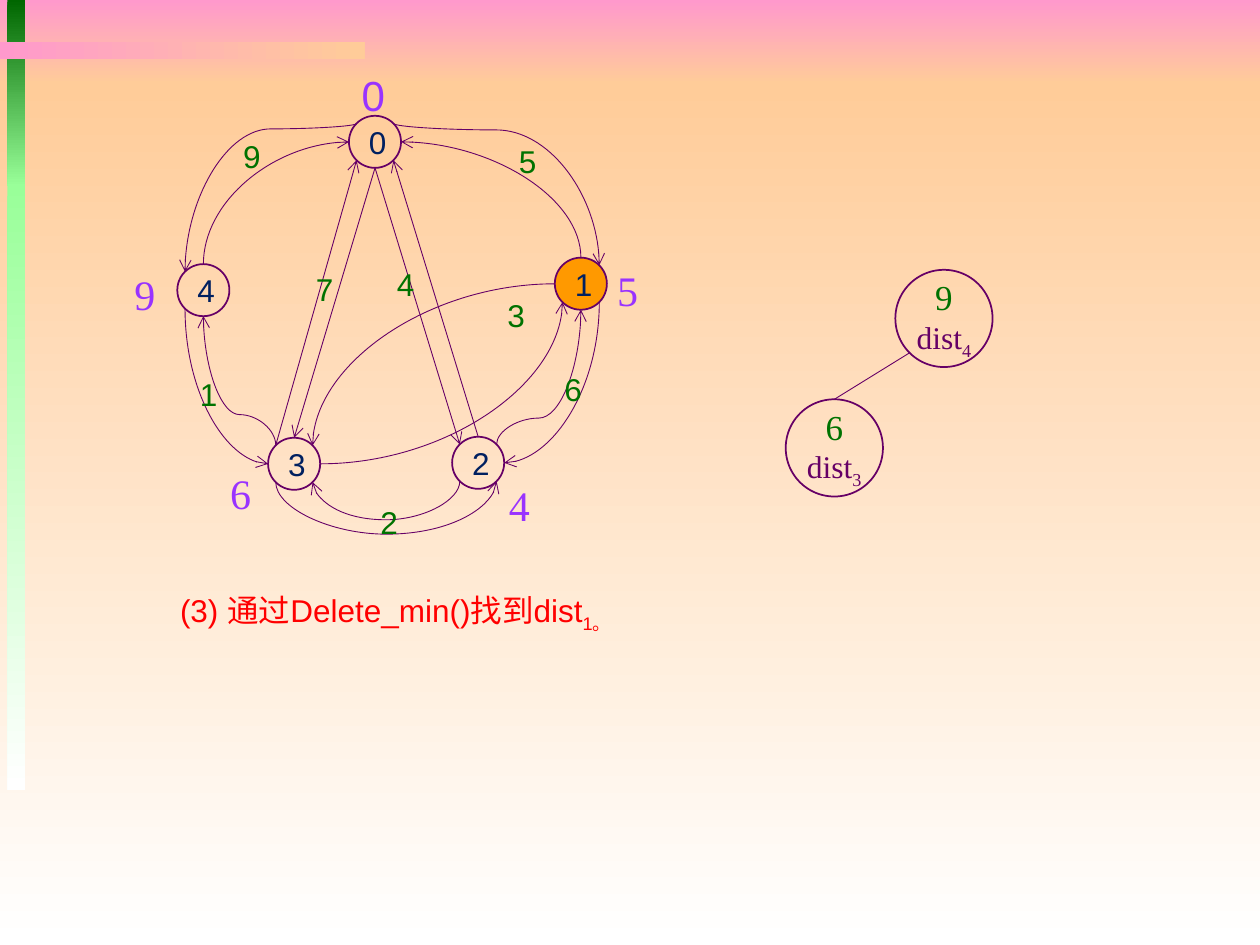
from math import sqrt

from lxml.etree import SubElement
from pptx import Presentation
from pptx.dml.color import RGBColor
from pptx.enum.shapes import MSO_CONNECTOR as CONN, MSO_SHAPE as SHAPE
from pptx.enum.text import MSO_ANCHOR as ANCHOR, MSO_AUTO_SIZE as AUTO, PP_ALIGN as ALIGN
from pptx.oxml.ns import qn
from pptx.util import Cm, Pt

COLORS = {"pink": "FF99CC", "peach": "FFCC99", "white": "FFFFFF", "forest": "006600",
          "mint": "99FF99", "line": "660066", "vertex": "002060", "weight": "007200",
          "current": "FF9900", "caption": "FF0000", "distance": "9933FF"}
ARIAL, TIMES = "Arial", "Times New Roman"
NODE_D, HEAP_D = 1.05, 1.96

# left, top, width, height, first colour, last colour, angle
BANDS = [(0, 0, 25.4, 1.7, "pink", "peach", 270),
         (0, 1.7, 25.4, 17.35, "peach", "white", 270),
         (0.15, 0, 0.36, 3.76, "forest", "mint", 270),
         (0.15, 3.71, 0.36, 12.22, "mint", "white", 270),
         (0, 0.84, 7.35, 0.36, "pink", "peach", 0)]

# vertex centres
VERTICES = {"0": (7.56, 2.86), "4": (4.1, 5.85), "3": (5.93, 9.35),
            "2": (9.64, 9.33), "1": (11.71, 5.72)}

# vertex, side, vertex, side, arrow end
STRAIGHT_EDGES = [("2", "nw", "0", "s", "head"), ("3", "n", "0", "s", "head"),
                  ("3", "nw", "0", "sw", "tail"), ("2", "n", "0", "se", "tail")]
# the same, with the height of the bend for S- and U-shaped curves
CURVED_EDGES = [("0", "nw", "4", "nw", "tail", 2.6), ("3", "w", "4", "sw", "head", None),
                ("1", "ne", "0", "ne", "head", 2.62), ("2", "se", "3", "sw", "head", 10.77),
                ("1", "se", "2", "e", "tail", None), ("1", "w", "3", "ne", "tail", None),
                ("2", "sw", "3", "se", "tail", 10.48), ("1", "sw", "3", "e", "head", None),
                ("3", "nw", "4", "s", "tail", 8.36), ("1", "s", "2", "ne", "head", 8.43),
                ("0", "w", "4", "n", "head", None), ("1", "n", "0", "e", "tail", None)]

WEIGHTS = [("9", 4.65, 2.64), ("5", 10.21, 2.74), ("4", 7.75, 5.21), ("7", 6.12, 5.31),
           ("1", 3.78, 7.44), ("2", 7.42, 10.01), ("3", 9.98, 5.84), ("6", 11.13, 7.34)]
DISTANCES = [("0", 7.04, 1.27, ARIAL), ("5", 12.19, 5.21, TIMES), ("4", 10.01, 9.55, TIMES),
             ("6", 4.39, 9.3, TIMES), ("9", 2.46, 5.28, TIMES)]
# key, vertex, centre
HEAP = [("9", "4", (19.03, 6.42)), ("6", "3", (16.82, 9.03))]


def rgb(name):
    return RGBColor.from_string(COLORS[name])


def rim(center, diameter, side):
    """Point of a circle at a compass side such as "n" or "sw"."""
    dx = ("e" in side) - ("w" in side)
    dy = ("s" in side) - ("n" in side)
    step = diameter / 2 / sqrt(dx * dx + dy * dy)
    return center[0] + dx * step, center[1] + dy * step


class Canvas:
    line_width, edge_width = 1, 0.5

    def __init__(self, slide):
        self.shapes = slide.shapes

    def band(self, x, y, w, h, first, last, angle):
        sp = self.shapes.add_shape(SHAPE.RECTANGLE, Cm(x), Cm(y), Cm(w), Cm(h))
        sp.shadow.inherit = False
        sp.line.fill.background()
        sp.fill.gradient()
        sp.fill.gradient_angle = angle
        for stop, color in zip(sp.fill.gradient_stops, (first, last)):
            stop.color.rgb = rgb(color)

    def add_runs(self, p, runs):
        """Fill a paragraph with runs of (text, font, size, colour, is subscript)."""
        for text, font, size, color, subscript in runs:
            if text == "\n":
                p.add_line_break()
                continue
            r = p.add_run()
            r.text = text
            r.font.name, r.font.size = font, Pt(size)
            r.font.color.rgb = rgb(color)
            if subscript:
                r.font._element.set("baseline", "-25000")

    def circle(self, center, diameter, runs, fill=None, margin=None):
        x, y = (c - diameter / 2 for c in center)
        sp = self.shapes.add_shape(SHAPE.OVAL, Cm(x), Cm(y), Cm(diameter), Cm(diameter))
        sp.shadow.inherit = False
        if fill:
            sp.fill.solid()
            sp.fill.fore_color.rgb = rgb(fill)
        else:
            sp.fill.background()
        sp.line.color.rgb = rgb("line")
        sp.line.width = Pt(self.line_width)
        tf = sp.text_frame
        tf.vertical_anchor = ANCHOR.MIDDLE
        if margin is not None:
            tf.margin_left = tf.margin_right = tf.margin_top = tf.margin_bottom = Cm(margin)
        tf.paragraphs[0].alignment = ALIGN.CENTER
        self.add_runs(tf.paragraphs[0], runs)

    def label(self, x, y, w, h, runs, wrap=False):
        tf = self.shapes.add_textbox(Cm(x), Cm(y), Cm(w), Cm(h)).text_frame
        tf.word_wrap = wrap
        tf.auto_size = AUTO.SHAPE_TO_FIT_TEXT
        self.add_runs(tf.paragraphs[0], runs)

    def edge(self, start, end, arrow=None, kind=CONN.STRAIGHT):
        cxn = self.shapes.add_connector(kind, *(Cm(v) for v in (*start, *end)))
        cxn.line.color.rgb = rgb("line")
        cxn.line.width = Pt(self.edge_width)
        if arrow:
            ln = cxn._element.spPr.find(qn("a:ln"))
            SubElement(ln, qn(f"a:{arrow}End"), type="arrow")
        SubElement(cxn._element.spPr, qn("a:effectLst"))
        return cxn

    def curve(self, start, end, arrow, sideways, bend=None):
        """Curve that leaves sideways or vertically; a bend height makes it an S or a U."""
        (x1, y1), (x2, y2) = start, end
        dx, dy = x2 - x1, y2 - y1
        if sideways:
            w, h, rot, flip = abs(dx), abs(dy), 0 if dx > 0 else 180, dx * dy < 0
        else:
            w, h, rot, flip = abs(dy), abs(dx), 90 if dy > 0 else 270, dx * dy > 0
        x, y = (x1 + x2 - w) / 2, (y1 + y2 - h) / 2
        cxn = self.edge((x, y), (x + w, y + h), arrow, CONN.CURVE)
        xfrm = cxn._element.spPr.find(qn("a:xfrm"))
        xfrm.set("rot", str(rot * 60000))
        if flip:
            xfrm.set("flipV", "1")
        geom = cxn._element.spPr.find(qn("a:prstGeom"))
        if bend is None:
            geom.set("prst", "curvedConnector2")
        else:
            SubElement(geom.find(qn("a:avLst")), qn("a:gd"), name="adj1",
                       fmla=f"val {round((bend - y1) / dy * 100000)}")


def main():
    prs = Presentation()
    prs.slide_width, prs.slide_height = Cm(25.4), Cm(19.05)
    c = Canvas(prs.slides.add_slide(prs.slide_layouts[6]))

    for band in BANDS:
        c.band(*band)

    for name, center in VERTICES.items():
        c.circle(center, NODE_D, [(name, ARIAL, 18, "vertex", False)],
                 fill="current" if name == "1" else None)
    for a, side_a, b, side_b, arrow in STRAIGHT_EDGES:
        c.edge(rim(VERTICES[a], NODE_D, side_a), rim(VERTICES[b], NODE_D, side_b), arrow)
    for a, side_a, b, side_b, arrow, bend in CURVED_EDGES:
        c.curve(rim(VERTICES[a], NODE_D, side_a), rim(VERTICES[b], NODE_D, side_b),
                arrow, side_a in "ew", bend)
    for text, x, y in WEIGHTS:
        c.label(x, y, 0.86, 1.02, [(text, ARIAL, 18, "weight", False)])
    for text, x, y, font in DISTANCES:
        c.label(x, y, 0.94, 1.27, [(text, font, 24, "distance", False)])

    for key, vertex, center in HEAP:
        c.circle(center, HEAP_D, [(key, TIMES, 20, "weight", False),
                                  ("\n", TIMES, 20, "weight", False),
                                  ("dist", TIMES, 18, "line", False),
                                  (vertex, TIMES, 18, "line", True)], margin=0)
    c.edge(rim(HEAP[1][2], HEAP_D, "n"), rim(HEAP[0][2], HEAP_D, "sw"))

    c.label(3.38, 11.79, 10.11, 1.02,
            [("(3) 通过Delete_min()找到dist", ARIAL, 18, "caption", False),
             ("1。", ARIAL, 18, "caption", True)], wrap=True)
    prs.save("out.pptx")


if __name__ == "__main__":
    main()
